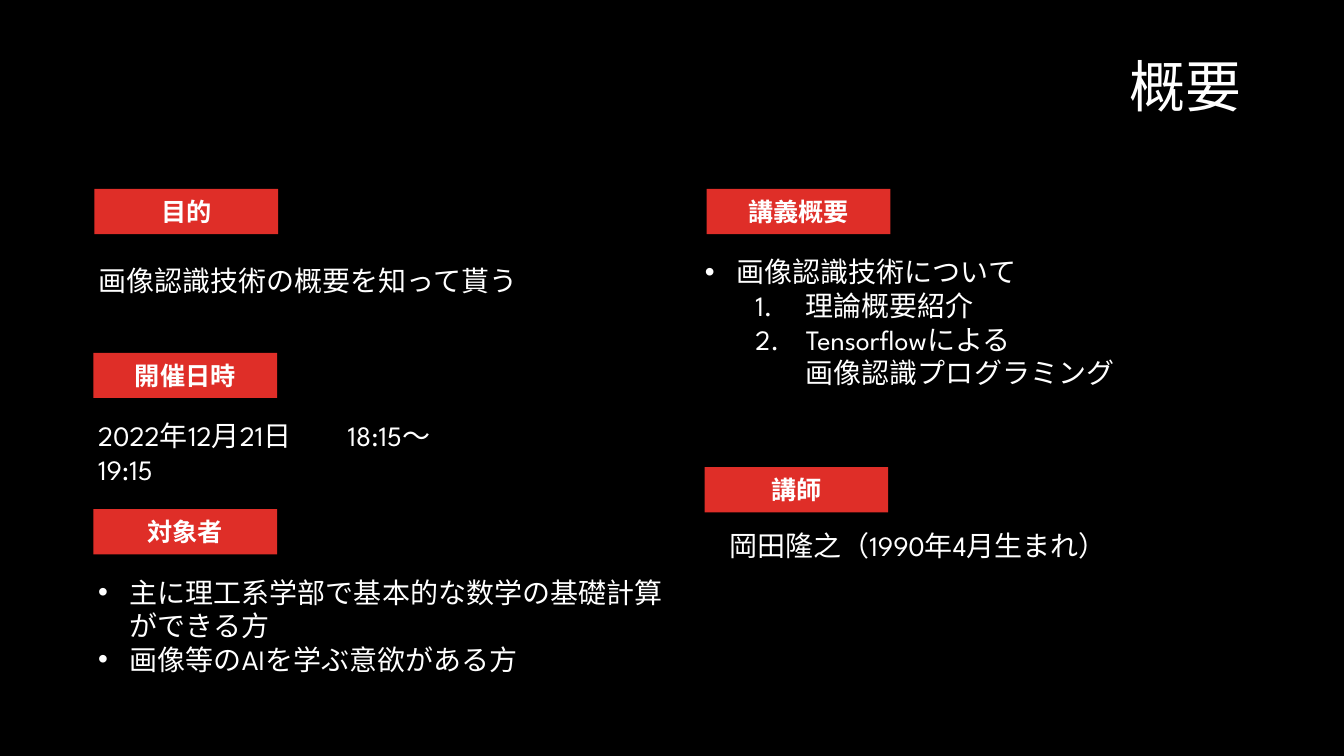
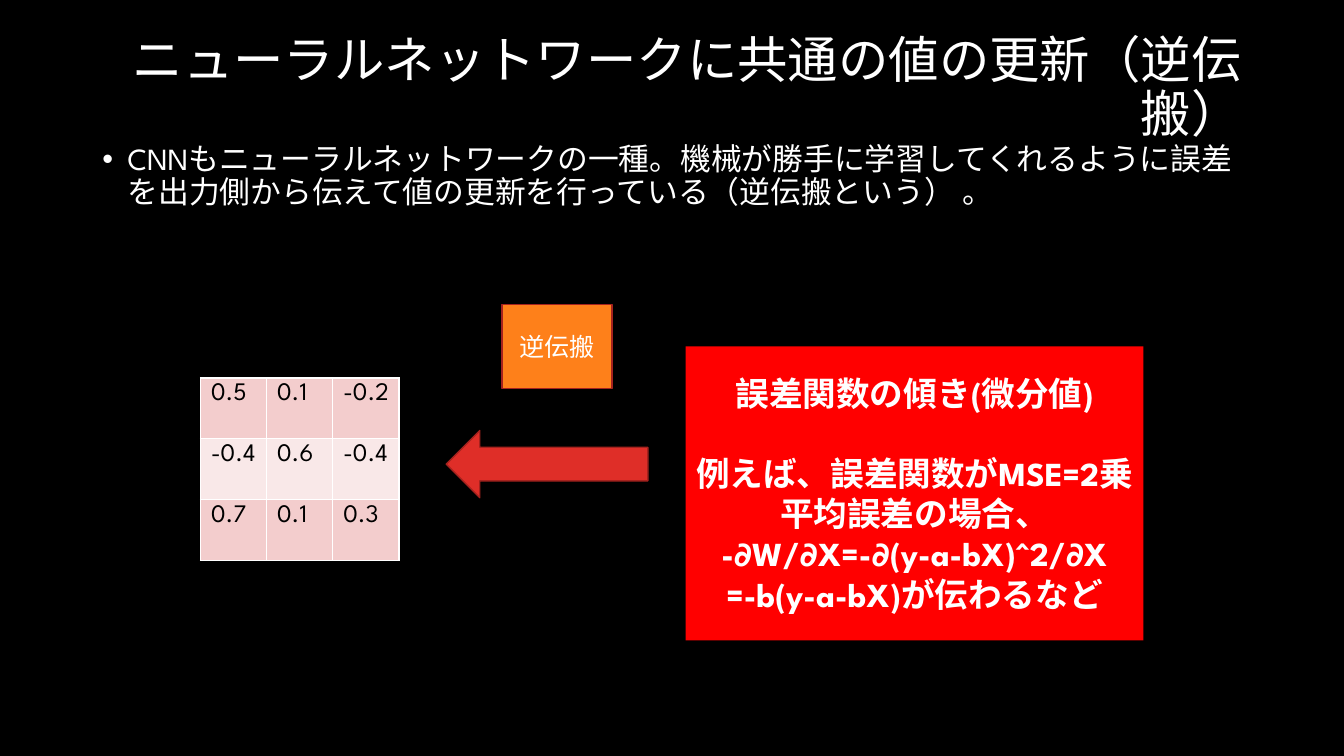
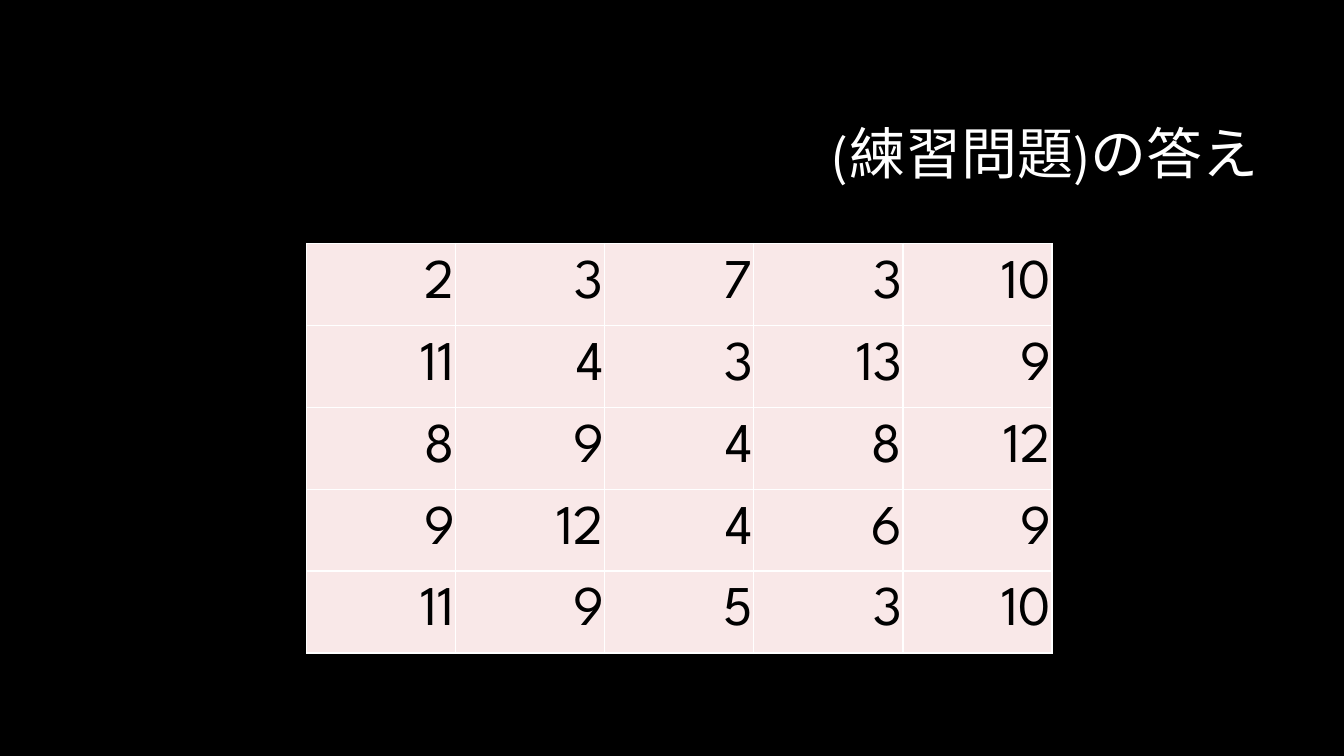
from dataclasses import dataclass

from lxml import etree
from pptx import Presentation
from pptx.dml.color import RGBColor
from pptx.enum.shapes import MSO_SHAPE
from pptx.enum.text import MSO_ANCHOR, MSO_AUTO_SIZE, PP_ALIGN
from pptx.oxml.ns import qn
from pptx.util import Emu, Pt

EMU_PER_PX = 9525
FONT = "League Spartan"
BLACK = RGBColor(0x00, 0x00, 0x00)
WHITE = RGBColor(0xFF, 0xFF, 0xFF)
ACCENT = RGBColor(0xDF, 0x2E, 0x28)
OUTLINE = RGBColor(0xA5, 0x22, 0x1E)
RED = RGBColor(0xFF, 0x00, 0x00)
ORANGE = RGBColor(0xFE, 0x80, 0x1A)
PALE = RGBColor(0xF9, 0xE8, 0xE8)
ROSE = RGBColor(0xF3, 0xCD, 0xCD)
LEFT, CENTER, RIGHT = PP_ALIGN.LEFT, PP_ALIGN.CENTER, PP_ALIGN.RIGHT
TOP, MIDDLE = MSO_ANCHOR.TOP, MSO_ANCHOR.MIDDLE
NO_FIT, GROW = MSO_AUTO_SIZE.NONE, MSO_AUTO_SIZE.SHAPE_TO_FIT_TEXT
RECTANGLE, LEFT_ARROW = MSO_SHAPE.RECTANGLE, MSO_SHAPE.LEFT_ARROW
CONTENT_LAYOUT, TITLE_LAYOUT = 1, 5
BULLET = ("buChar", "char", "•")
NUMBER = ("buAutoNum", "type", "arabicPeriod")
WIDE_SPACE = "　"
WIDE_SPACE_TRACKING = "2000"


@dataclass(frozen=True)
class Box:
    """A place on the slide, in px."""

    left: int
    top: int
    width: int
    height: int

    def emu(self) -> tuple[Emu, Emu, Emu, Emu]:
        """Return the place in EMU."""
        return px(self.left), px(self.top), px(self.width), px(self.height)


@dataclass(frozen=True)
class Style:
    """Formatting shared by the paragraphs of one text."""

    size: int
    align: PP_ALIGN = LEFT
    bold: bool = False
    color: RGBColor = WHITE
    line_spacing: float = 1.0


@dataclass(frozen=True)
class Para:
    """One paragraph, with its list marker and its indents in px."""

    text: str
    marker: tuple[str, str, str] | None = None
    indent: int = 0
    hanging: int = 0
    level: int = 0
    space_before: int = 0


@dataclass(frozen=True)
class Panel:
    """A filled shape with optional outline and text."""

    box: Box
    fill: RGBColor
    style: Style
    paras: tuple[Para, ...] = ()
    outline: RGBColor | None = None
    geometry: MSO_SHAPE = RECTANGLE


@dataclass(frozen=True)
class Section:
    """A red heading and the text below it."""

    heading: str
    left: int
    top: int
    body: Box
    paras: tuple[Para, ...]


@dataclass(frozen=True)
class Grid:
    """A table of numbers with row colours used in turn."""

    left: int
    top: int
    column_width: int
    row_height: int
    rows: tuple[str, ...]
    fills: tuple[RGBColor, ...]
    style: Style
    anchor: MSO_ANCHOR
    margins: tuple[int, int, int, int]


TITLE_BOX = Box(88, 38, 1104, 94)
HEADING_SIZE = (175, 43)
HEADING_STYLE = Style(18, CENTER, bold=True)
SECTION_STYLE = Style(20)


def bullet(text: str, indent: int = 30) -> Para:
    """Return a bulleted paragraph."""
    return Para(text, BULLET, indent, indent)


def step(text: str) -> Para:
    """Return a numbered second-level paragraph."""
    return Para(text, NUMBER, 96, 48, level=1)


SECTIONS = (
    Section("目的", 90, 180, Box(84, 246, 469, 42),
            (Para("画像認識技術の概要を知って貰う"),)),
    Section("開催日時", 89, 336, Box(84, 394, 469, 42),
            (Para("2022年12月21日　18:15～\n19:15"),)),
    Section("対象者", 89, 485, Box(84, 543, 560, 107),
            (bullet("主に理工系学部で基本的な数学の基礎計算ができる方"),
             bullet("画像等のAIを学ぶ意欲がある方"))),
    Section("講義概要", 673, 180, Box(662, 238, 567, 139),
            (bullet("画像認識技術について"), step("理論概要紹介"),
             step("Tensorflowによる\n画像認識プログラミング"))),
    Section("講師", 671, 445, Box(685, 499, 431, 42),
            (Para("岡田隆之（1990年4月生まれ）"),)),
)
BACKPROP_PANELS = (
    Panel(Box(425, 410, 192, 64), ACCENT, Style(18), outline=OUTLINE, geometry=LEFT_ARROW),
    Panel(Box(653, 330, 436, 280), RED, Style(24, CENTER, bold=True),
          (Para("誤差関数の傾き(微分値)"),
           Para("例えば、誤差関数がMSE=2乗平均誤差の場合、", space_before=28),
           Para("-∂W/∂X=-∂(y-a-bX)^2/∂X\n=-b(y-a-bX)が伝わるなど"))),
    Panel(Box(478, 290, 105, 80), ORANGE, Style(18, CENTER),
          (Para("逆伝搬"),), outline=OUTLINE),
)
WEIGHTS = Grid(191, 360, 63, 58, ("0.5 0.1 -0.2", "-0.4 0.6 -0.4", "0.7 0.1 0.3"),
               (ROSE, PALE), Style(18, color=BLACK), TOP, (10, 5, 2, 5))
ANSWERS = Grid(292, 232, 142, 78,
               ("2 3 7 3 10", "11 4 3 13 9", "8 9 4 8 12", "9 12 4 6 9", "11 9 5 3 10"),
               (PALE,), Style(40, RIGHT, color=BLACK), MIDDLE, (1, 1, 1, 0))


def px(length: int) -> Emu:
    """Convert px to EMU."""
    return Emu(length * EMU_PER_PX)


def add_run(paragraph, text: str, style: Style) -> None:
    """Add one formatted run, widening a full-width space."""
    run = paragraph.add_run()
    run.text = text
    font = run.font
    font.name, font.size, font.bold = FONT, Pt(style.size), style.bold
    font.color.rgb = style.color
    props = run._r.rPr
    props.find(qn("a:latin")).addnext(etree.Element(qn("a:ea"), typeface=FONT))
    if text == WIDE_SPACE:
        props.set("spc", WIDE_SPACE_TRACKING)


def add_marker(paragraph, para: Para) -> None:
    """Set the indents and list marker."""
    props = paragraph._p.get_or_add_pPr()
    props.set("marL", str(px(para.indent)))
    props.set("indent", str(px(-para.hanging)))
    if para.marker:
        tag, key, value = para.marker
        if para.marker == BULLET:
            etree.SubElement(props, qn("a:buFont"), typeface="Arial")
        etree.SubElement(props, qn(f"a:{tag}"), {key: value})
    else:
        etree.SubElement(props, qn("a:buNone"))


def write(frame, paras: tuple[Para, ...], style: Style) -> None:
    """Fill a text frame with paragraphs."""
    for index, para in enumerate(paras):
        paragraph = frame.add_paragraph() if index else frame.paragraphs[0]
        paragraph.alignment = style.align
        paragraph.level = para.level
        paragraph.line_spacing = style.line_spacing
        paragraph.space_before = Pt(para.space_before)
        add_marker(paragraph, para)
        for row, text in enumerate(para.text.split("\n")):
            if row:
                paragraph.add_line_break()
            for part in filter(None, text.partition(WIDE_SPACE)):
                add_run(paragraph, part, style)


def fill_placeholder(holder, box: Box, para: Para, style: Style, anchor: MSO_ANCHOR) -> None:
    """Move a placeholder and write its text."""
    holder.left, holder.top, holder.width, holder.height = box.emu()
    frame = holder.text_frame
    frame.auto_size, frame.word_wrap = NO_FIT, True
    frame.vertical_anchor = anchor
    write(frame, (para,), style)


def add_slide(prs, layout: int, title: str, size: int = 40, box: Box = TITLE_BOX):
    """Add a slide with its right-aligned title."""
    slide = prs.slides.add_slide(prs.slide_layouts[layout])
    fill_placeholder(slide.shapes.title, box, Para(title),
                     Style(size, RIGHT, line_spacing=0.9), MIDDLE)
    return slide


def add_panel(slide, panel: Panel) -> None:
    """Draw a filled shape with its text."""
    shape = slide.shapes.add_shape(panel.geometry, *panel.box.emu())
    shape.shadow.inherit = False
    shape.fill.solid()
    shape.fill.fore_color.rgb = panel.fill
    if panel.outline:
        shape.line.color.rgb = panel.outline
        shape.line.width = Pt(1)
    else:
        shape.line.fill.background()
    shape.text_frame.word_wrap = True
    shape.text_frame.vertical_anchor = MIDDLE
    write(shape.text_frame, panel.paras, panel.style)


def add_section(slide, section: Section) -> None:
    """Draw a heading and its text."""
    place = Box(section.left, section.top, *HEADING_SIZE)
    add_panel(slide, Panel(place, ACCENT, HEADING_STYLE, (Para(section.heading),)))
    frame = slide.shapes.add_textbox(*section.body.emu()).text_frame
    frame.word_wrap, frame.auto_size = True, GROW
    write(frame, section.paras, SECTION_STYLE)


def add_borders(cell) -> None:
    """Give a cell thin white borders."""
    props = cell._tc.get_or_add_tcPr()
    for side in ("lnL", "lnR", "lnT", "lnB"):
        border = etree.SubElement(props, qn(f"a:{side}"), w=str(Pt(1)))
        solid = etree.SubElement(border, qn("a:solidFill"))
        etree.SubElement(solid, qn("a:srgbClr"), val=str(WHITE))


def add_grid(slide, grid: Grid) -> None:
    """Draw a table of numbers."""
    values = [row.split() for row in grid.rows]
    count, width = len(values), len(values[0])
    box = Box(grid.left, grid.top, width * grid.column_width, count * grid.row_height)
    table = slide.shapes.add_table(count, width, *box.emu()).table
    table.first_row = table.horz_banding = False
    for row, numbers in enumerate(values):
        for column, number in enumerate(numbers):
            cell = table.cell(row, column)
            add_borders(cell)
            cell.fill.solid()
            cell.fill.fore_color.rgb = grid.fills[row % len(grid.fills)]
            cell.vertical_anchor = grid.anchor
            (cell.margin_left, cell.margin_top,
             cell.margin_right, cell.margin_bottom) = map(px, grid.margins)
            write(cell.text_frame, (Para(number),), grid.style)


def build_overview(prs) -> None:
    """Build the lecture overview."""
    slide = add_slide(prs, TITLE_LAYOUT, "概要")
    for section in SECTIONS:
        add_section(slide, section)


def build_backpropagation(prs) -> None:
    """Build the backpropagation slide."""
    slide = add_slide(prs, CONTENT_LAYOUT,
                      "ニューラルネットワークに共通の値の更新（逆伝搬）", 36)
    explanation = Para(
        "CNNもニューラルネットワークの一種。機械が勝手に学習してくれるように"
        "誤差を出力側から伝えて値の更新を行っている（逆伝搬という） 。",
        BULLET, 24, 24, space_before=10)
    fill_placeholder(slide.placeholders[1], Box(88, 132, 1104, 516), explanation,
                     Style(22, line_spacing=0.9), TOP)
    add_grid(slide, WEIGHTS)
    for panel in BACKPROP_PANELS:
        add_panel(slide, panel)


def build_answers(prs) -> None:
    """Build the exercise answers."""
    slide = add_slide(prs, TITLE_LAYOUT, "(練習問題)の答え", box=Box(304, 81, 904, 135))
    add_grid(slide, ANSWERS)


def main() -> None:
    """Build and save the presentation."""
    prs = Presentation()
    prs.slide_width, prs.slide_height = px(1280), px(720)
    background = prs.slide_master.background.fill
    background.solid()
    background.fore_color.rgb = BLACK
    build_overview(prs)
    build_backpropagation(prs)
    build_answers(prs)
    prs.save("out.pptx")


if __name__ == "__main__":
    main()
